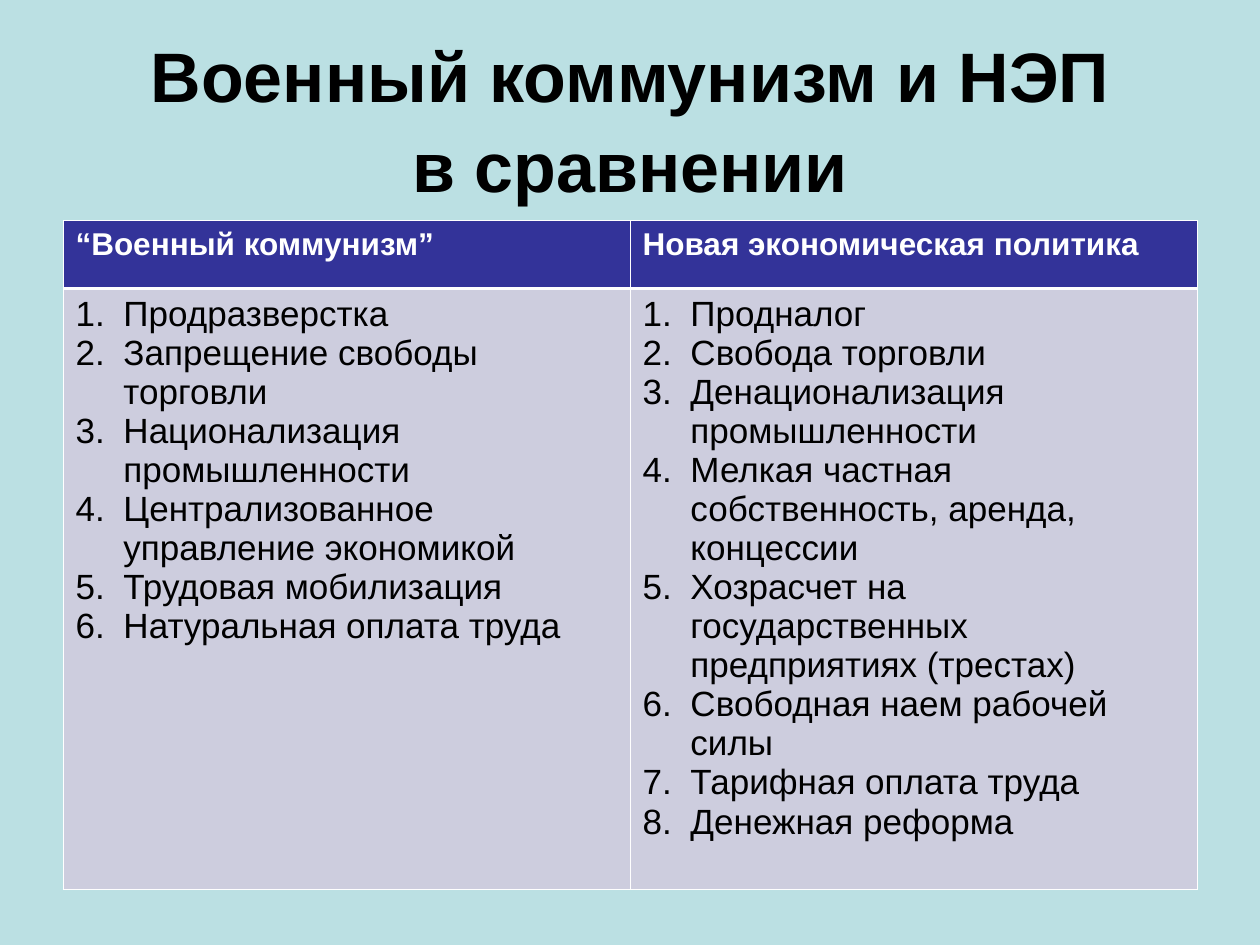
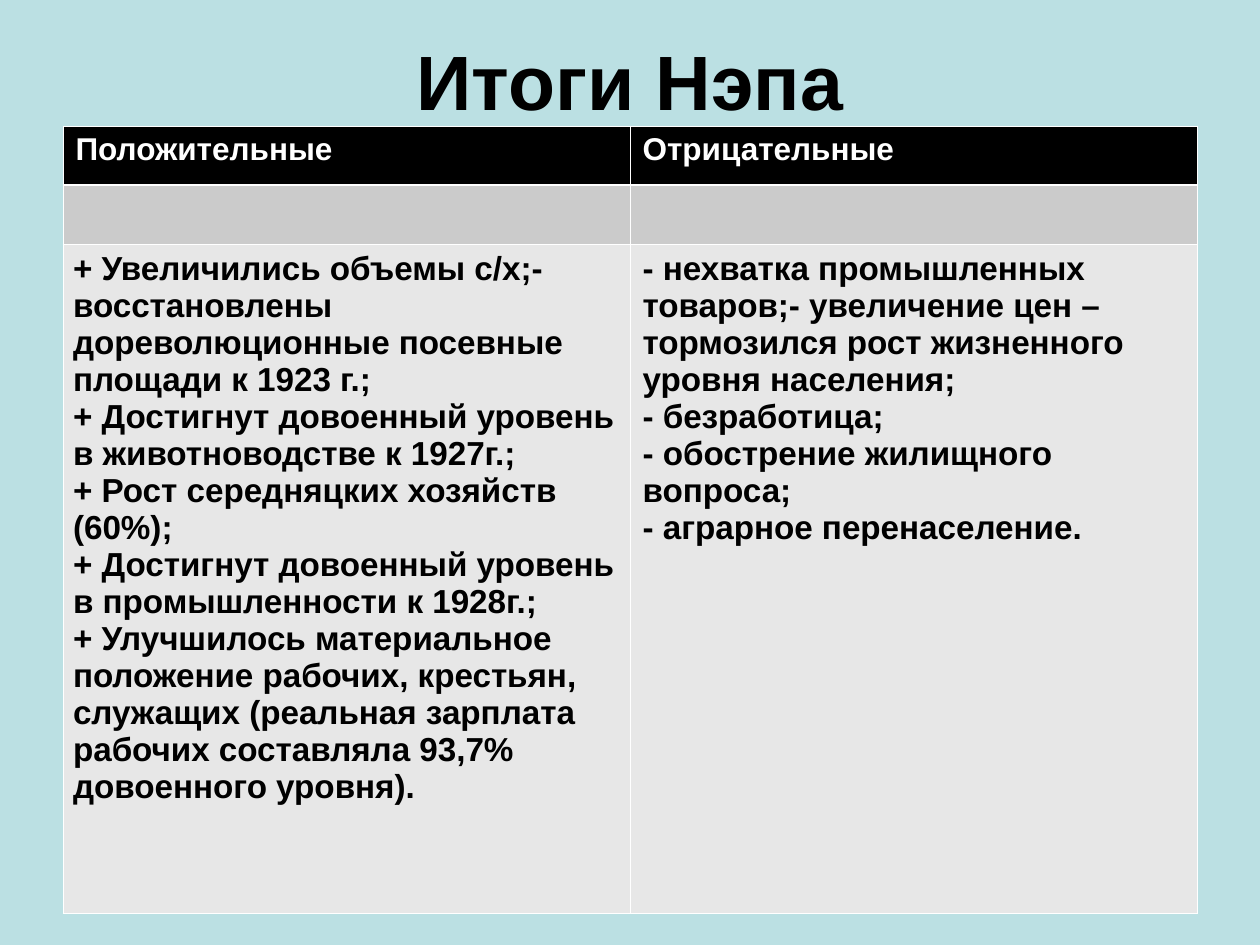
from dataclasses import dataclass

from lxml.etree import SubElement
from pptx import Presentation
from pptx.dml.color import RGBColor
from pptx.enum.text import MSO_ANCHOR, PP_ALIGN
from pptx.oxml.ns import qn
from pptx.util import Inches, Pt


@dataclass(frozen=True)
class Theme:
    font: str = "Arial"
    background: str = "BBE0E3"
    ink: str = "000000"
    white: str = "FFFFFF"
    header_size: int = 18
    thin: float = 0.45
    thick: float = 1.47
    title_spacing: float = 1.07


theme = Theme()

# Each slide: title, table rows and the look of each row
slides = [
    dict(
        title="Военный коммунизм и НЭП\nв сравнении",
        title_size=40, title_height=1.25, table_top=1.75,
        row_heights=[0.54, 4.77], fills=["333399", "CDCDDE"],
        body_size=20, body_bold=False, numbered=True, side_insets=[0.1, 0.1],
        rows=[
            [["“Военный коммунизм”"], ["Новая экономическая политика"]],
            [
                ["Продразверстка",
                 "Запрещение свободы торговли",
                 "Национализация промышленности",
                 "Централизованное управление экономикой",
                 "Трудовая мобилизация",
                 "Натуральная оплата труда"],
                ["Продналог",
                 "Свобода торговли",
                 "Денационализация промышленности",
                 "Мелкая частная собственность, аренда, концессии",
                 "Хозрасчет на государственных предприятиях (трестах)",
                 "Свободная наем рабочей силы",
                 "Тарифная оплата труда",
                 "Денежная реформа"],
            ],
        ],
    ),
    dict(
        title="Итоги Нэпа",
        title_size=44, title_height=0.62, table_top=1,
        row_heights=[0.47, 0.47, 5.31], fills=["000000", "CBCBCB", "E7E7E7"],
        body_size=19, body_bold=True, numbered=False, side_insets=[0.08, 0.1],
        rows=[
            [["Положительные"], ["Отрицательные"]],
            [[], []],
            [
                ["+ Увеличились объемы с/х;- восстановлены дореволюционные "
                 "посевные площади к 1923 г.;",
                 "+ Достигнут довоенный уровень в животноводстве к 1927г.;",
                 "+ Рост середняцких хозяйств (60%);",
                 "+ Достигнут довоенный уровень в промышленности к 1928г.;",
                 "+ Улучшилось материальное положение рабочих, крестьян, "
                 "служащих (реальная зарплата рабочих составляла 93,7% "
                 "довоенного уровня)."],
                ["- нехватка промышленных товаров;- увеличение цен – "
                 "тормозился рост жизненного уровня населения;",
                 "- безработица;",
                 "- обострение жилищного вопроса;",
                 "- аграрное перенаселение."],
            ],
        ],
    ),
]


def write(frame, paragraphs, *, size, color=theme.ink, bold=True,
          align=PP_ALIGN.LEFT, spacing=None, numbered=False):
    for index, text in enumerate(paragraphs):
        para = frame.paragraphs[0] if index == 0 else frame.add_paragraph()
        para.alignment = align
        if spacing:
            para.line_spacing = spacing
        if numbered:
            properties = para._p.get_or_add_pPr()
            properties.set("marL", str(Inches(0.38)))
            properties.set("indent", str(-Inches(0.38)))
            bullet_color = SubElement(properties, qn("a:buClr"))
            SubElement(bullet_color, qn("a:srgbClr"), val=color)
            SubElement(properties, qn("a:buFont"), typeface=theme.font)
            SubElement(properties, qn("a:buAutoNum"), type="arabicPeriod")
        for line_number, line in enumerate(text.split("\n")):
            if line_number:
                para.add_line_break()
            span = para.add_run()
            span.text = line
            span.font.name = theme.font
            span.font.size = Pt(size)
            span.font.bold = bold
            span.font.color.rgb = RGBColor.from_string(color)


def border_cell(cell, **widths):
    for side in "LRTB":
        line = SubElement(cell._tc.get_or_add_tcPr(), qn(f"a:ln{side}"),
                          w=str(Pt(widths.get(side, theme.thin))))
        fill = SubElement(line, qn("a:solidFill"))
        SubElement(fill, qn("a:srgbClr"), val=theme.white)


deck = Presentation()
deck.slide_width, deck.slide_height = Inches(10), Inches(7.5)
blank = deck.slide_layouts[6]

# Shared grid: equal side margins and two equal columns
margin = int(deck.slide_width * 0.05)
content_width = deck.slide_width - 2 * margin
title_top = int(deck.slide_height * 0.04)

for content in slides:
    page = deck.slides.add_slide(blank)
    page.background.fill.solid()
    page.background.fill.fore_color.rgb = RGBColor.from_string(theme.background)

    # Title
    box = page.shapes.add_textbox(margin, title_top, content_width,
                                  Inches(content["title_height"]))
    box.text_frame.word_wrap = True
    box.text_frame.vertical_anchor = MSO_ANCHOR.MIDDLE
    write(box.text_frame, [content["title"]], size=content["title_size"],
          align=PP_ALIGN.CENTER, spacing=theme.title_spacing)

    # Comparison table
    heights = [Inches(height) for height in content["row_heights"]]
    table = page.shapes.add_table(len(heights), 2, margin,
                                  Inches(content["table_top"]),
                                  content_width, sum(heights)).table
    for row_index, row in enumerate(content["rows"]):
        table.rows[row_index].height = heights[row_index]
        is_header = row_index == 0
        is_body = row_index == len(heights) - 1
        for column_index, paragraphs in enumerate(row):
            cell = table.cell(row_index, column_index)
            side = content["side_insets"][column_index] if is_body else 0.1
            cell.margin_left = cell.margin_right = Inches(side)
            cell.margin_top = cell.margin_bottom = Inches(0.05)
            border_cell(cell,
                        T=theme.thick if row_index == 1 else theme.thin,
                        B=theme.thick if is_header else theme.thin)
            cell.fill.solid()
            cell.fill.fore_color.rgb = RGBColor.from_string(
                content["fills"][row_index])
            if is_header:
                write(cell.text_frame, paragraphs, size=theme.header_size,
                      color=theme.white)
            else:
                write(cell.text_frame, paragraphs, size=content["body_size"],
                      bold=content["body_bold"], numbered=content["numbered"])

deck.save("out.pptx")
